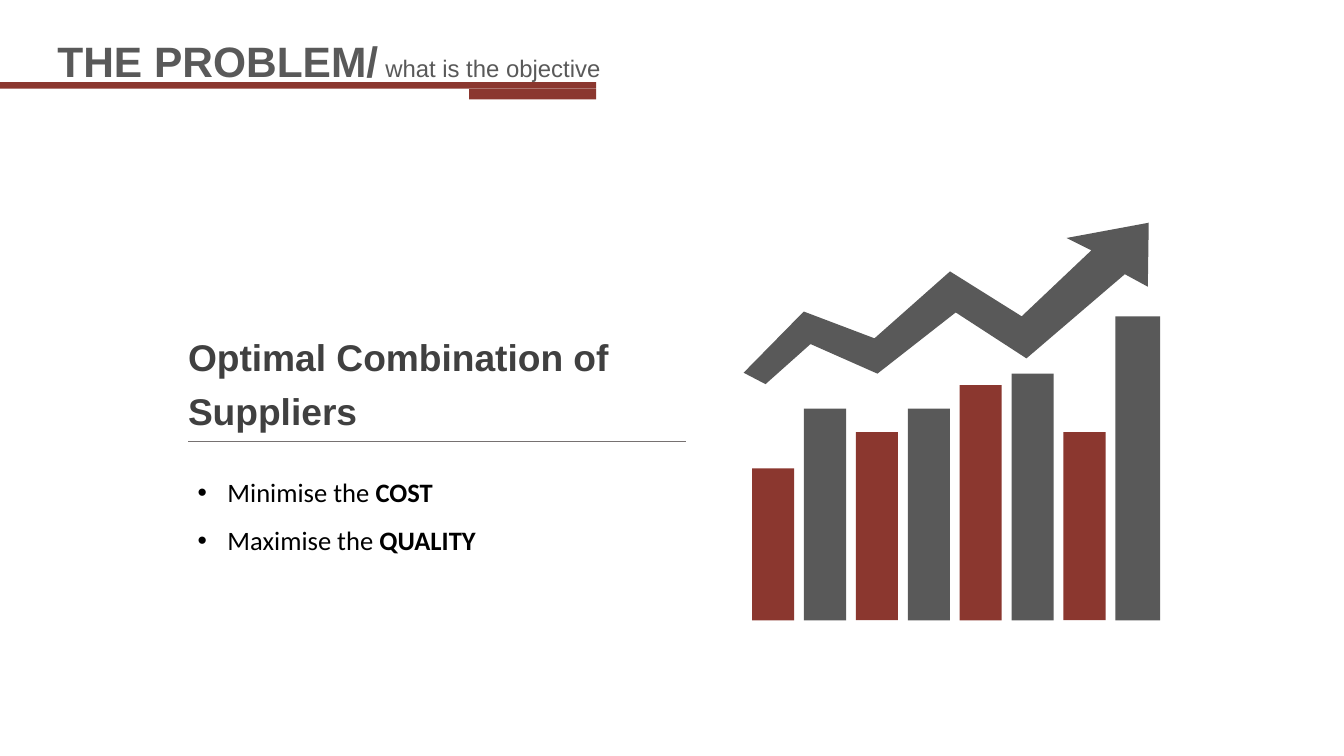
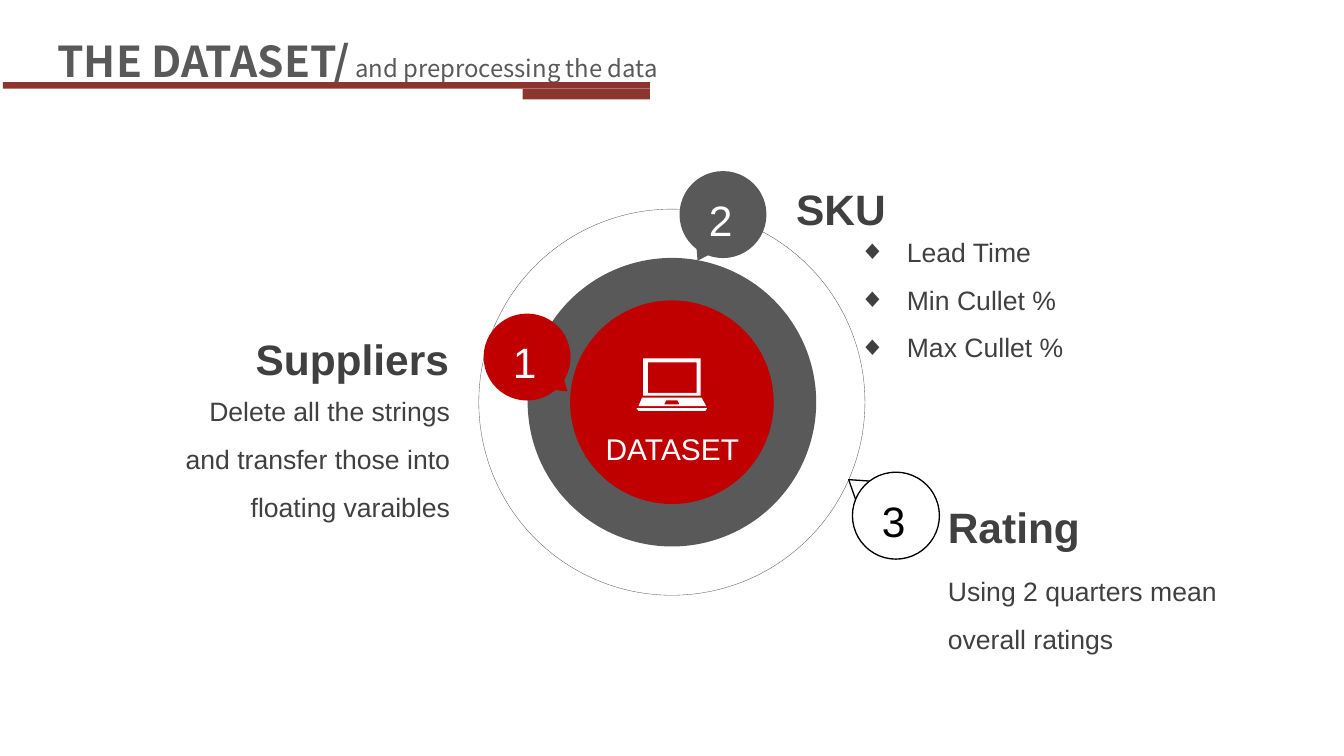
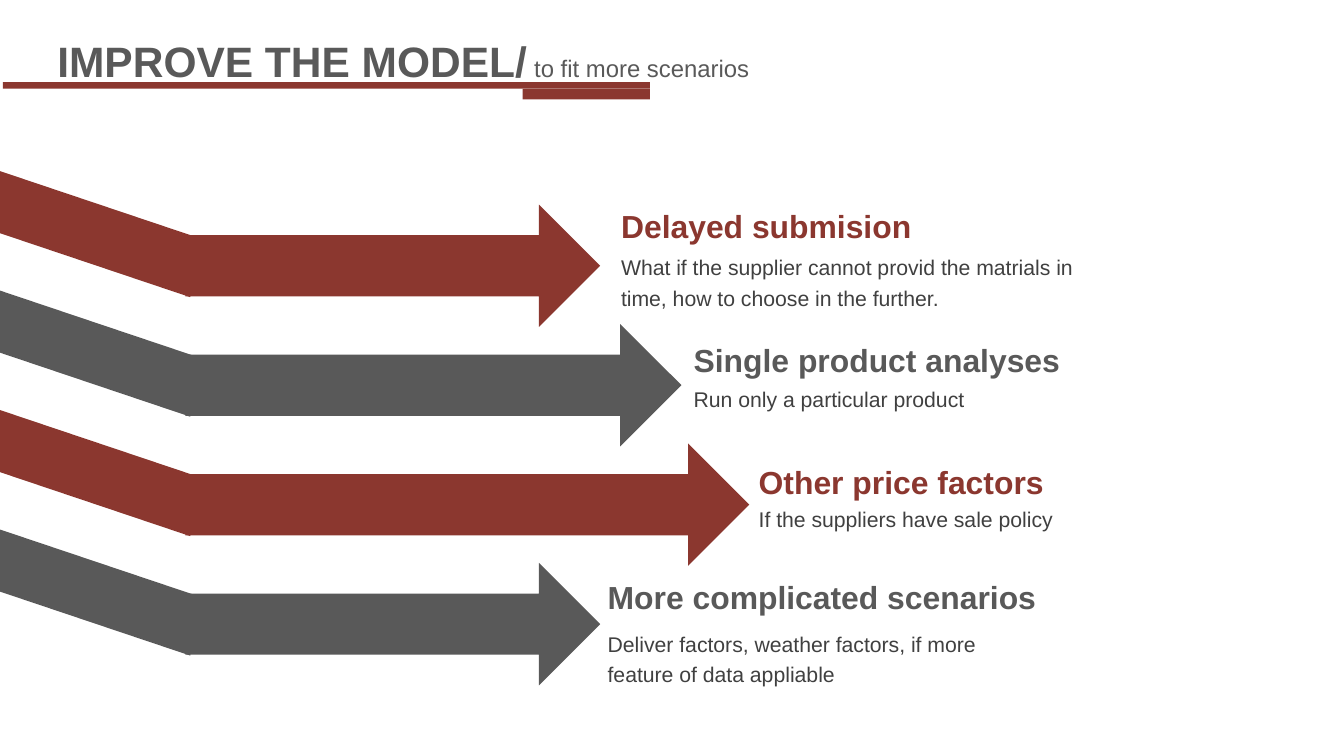
"""Three slides on choosing suppliers: objective, dataset, model improvements."""
from lxml import etree
from pptx import Presentation
from pptx import util as u
from pptx.dml import color
from pptx.enum import shapes, text
from pptx.oxml import ns

COLORS = {
    "red": "8B372F",
    "bright": "C00000",
    "grey": "595959",
    "ink": "404040",
    "rule": "767171",
    "black": "000000",
    "white": "FFFFFF",
}
SHAPE = shapes.MSO_SHAPE
ALIGN = text.PP_ALIGN


def rgb(name):
    """Return the palette colour with this name."""
    return color.RGBColor.from_string(COLORS[name])


def points(*values):
    """Convert numbers in points to lengths."""
    return [u.Pt(value) for value in values]


def assign(target, values):
    """Set every attribute given in a dict."""
    for name, value in values.items():
        setattr(target, name, value)


class Deck:
    """Holds the shared style and the slide being built."""

    font = "Arial"
    bar_width, bar_top, bar_height = 487.4, 61.9, 5
    tab_width, tab_height = 95.8, 8

    def __init__(self, width, height):
        """Start an empty presentation of the given size."""
        self.presentation = Presentation()
        assign(self.presentation, {"slide_width": u.Pt(width), "slide_height": u.Pt(height)})
        self.slide = None

    def start(self, title, subtitle, width, band_left=2.2, font=None):
        """Add a slide with its two-part title and the band below it."""
        self.slide = self.presentation.slides.add_slide(self.presentation.slide_layouts[5])
        placeholder = self.slide.shapes.title
        assign(placeholder, dict(zip(("left", "top", "width", "height"),
                                     points(36, 18, width, 54.7))))
        frame = placeholder.text_frame
        assign(frame, {"word_wrap": True, "auto_size": text.MSO_AUTO_SIZE.NONE,
                       "vertical_anchor": text.MSO_ANCHOR.MIDDLE})
        paragraph = frame.paragraphs[0]
        assign(paragraph, {"alignment": ALIGN.LEFT, "space_before": u.Pt(6.4)})
        self.run(paragraph, title, 32, "grey", True, font)
        self.run(paragraph, " " + subtitle, 18, "grey", False, font)
        self.shape(SHAPE.RECTANGLE,
                   (band_left, self.bar_top, self.bar_width, self.bar_height), "red")
        self.shape(SHAPE.RECTANGLE,
                   (band_left + self.bar_width - self.tab_width,
                    self.bar_top + self.bar_height, self.tab_width, self.tab_height), "red")

    def run(self, paragraph, words, size, ink, bold=False, font=None):
        """Add one formatted run to a paragraph."""
        run = paragraph.add_run()
        run.text = words
        assign(run.font, {"name": font or self.font, "size": u.Pt(size), "bold": bold})
        run.font.color.rgb = rgb(ink)

    def paint(self, shape, fill=None, line=None):
        """Set fill and line; line is a pair of colour and width."""
        shape.shadow.inherit = False
        if fill:
            shape.fill.solid()
            shape.fill.fore_color.rgb = rgb(fill)
        else:
            shape.fill.background()
        if line:
            shape.line.color.rgb = rgb(line[0])
            shape.line.width = u.Pt(line[1])
        else:
            shape.line.fill.background()

    def shape(self, kind, box, fill=None, line=None, rotation=0):
        """Add a preset shape."""
        shape = self.slide.shapes.add_shape(kind, *points(*box))
        shape.rotation = rotation
        self.paint(shape, fill, line)

    def outline(self, contours, fill):
        """Add one filled outline made of closed contours."""
        first, *others = [[points(*corner) for corner in contour] for contour in contours]
        builder = self.slide.shapes.build_freeform(*first[0])
        builder.add_line_segments(first[1:])
        for contour in others:
            builder.move_to(*contour[0])
            builder.add_line_segments(contour[1:])
        self.paint(builder.convert_to_shape(), fill)

    def line(self, ends, ink, width):
        """Add a straight line without shadow."""
        connector = self.slide.shapes.add_connector(shapes.MSO_CONNECTOR.STRAIGHT, *points(*ends))
        connector.line.color.rgb = rgb(ink)
        connector.line.width = u.Pt(width)
        etree.SubElement(connector._element.spPr, ns.qn("a:effectLst"))

    def text(self, box, paragraphs, size, ink="ink", bold=False, align=ALIGN.LEFT,
             spacing=1.2, wrap=True, font=None, bullet=None, indent=0):
        """Add a text box; a paragraph is a plain string or a pair (plain, bold)."""
        frame = self.slide.shapes.add_textbox(*points(*box)).text_frame
        frame.word_wrap = wrap
        for index, content in enumerate(paragraphs):
            paragraph = frame.add_paragraph() if index else frame.paragraphs[0]
            assign(paragraph, {"alignment": align, "line_spacing": spacing})
            if bullet:
                self.bullet(paragraph, bullet, indent)
            plain, strong = (content, "") if isinstance(content, str) else content
            self.run(paragraph, plain, size, ink, bold, font)
            if strong:
                self.run(paragraph, strong, size, ink, True, font)

    def bullet(self, paragraph, mark, indent):
        """Give a paragraph a bullet with a hanging indent."""
        properties = paragraph._p.get_or_add_pPr()
        properties.set("marL", str(u.Pt(indent)))
        properties.set("indent", str(-u.Pt(indent)))
        etree.SubElement(properties, ns.qn("a:buFont")).set("typeface", self.font)
        etree.SubElement(properties, ns.qn("a:buChar")).set("char", mark)

    def disc(self, center, diameter, fill=None, line=None):
        """Add a circle around a centre."""
        left, top = (value - diameter / 2 for value in center)
        self.shape(SHAPE.OVAL, (left, top, diameter, diameter), fill, line)

    def callout(self, number, left, top, tip, rotation, fill, ink="white", line=None):
        """Add a numbered circle with a pointer."""
        self.shape(SHAPE.ISOSCELES_TRIANGLE, (*tip, 18, 13.7),
                   None if line else fill, line, rotation)
        self.shape(SHAPE.FLOWCHART_CONNECTOR, (left, top, 65.5, 65.5), fill, line)
        self.text((left + 15, top + 5.8, 32.4, 49.7), [number], 32, ink, wrap=False)


def build_problem(deck):
    """Objective with a rising bar picture."""
    deck.start("THE PROBLEM/", "what is the objective", 453.6, band_left=-38.2)
    trend = [(560.2, 280.8), (605.5, 234.7), (658.8, 254.9), (715.7, 204.5), (769.7, 238.3),
             (822.2, 188.6), (803.5, 179.3), (865.4, 167.8), (864.7, 216), (847.4, 206.6),
             (773.3, 270), (720, 235.4), (661, 281.5), (610.6, 259.2), (576.7, 289.4)]
    deck.outline([trend], "grey")

    heights = [114.5, 159.5, 141.8, 159.5, 177.1, 185.8, 141.8, 229]
    left, baseline, pitch = 566.6, 467.3, 39.1
    for index, height in enumerate(heights):
        width = 33.8 if index == len(heights) - 1 else 31.7
        deck.shape(SHAPE.RECTANGLE, (left + index * pitch, baseline - height, width, height),
                   "grey" if index % 2 else "red")

    deck.text((134.6, 241.9, 424.8, 85), ["Optimal Combination of Suppliers"], 28, bold=True)
    deck.line((141.8, 332.6, 517, 332.6), "rule", 0.5)
    deck.text((141.8, 343.4, 374.4, 76.3),
              [("Minimise the ", "COST"), ("Maximise the ", "QUALITY")], 20, "black",
              align=ALIGN.JUSTIFY, spacing=1.5, font="Calibri", bullet="•", indent=22.5)


def build_dataset(deck):
    """Dataset circle with three numbered parts."""
    deck.start("THE DATASET/", "and preprocessing the data", 520.6, font="Noto Sans CJK SC")
    center = (506.2, 303)
    deck.disc(center, 217.4, "grey")
    deck.disc(center, 290.9, line=("grey", 0.25))
    deck.disc(center, 153.4, "bright")

    keyboard = [(528.5, 299.5), (483.8, 299.5), (481, 306), (532.1, 306)]
    touchpad = [(500.4, 304.6), (501.8, 301.7), (510.5, 301.7), (511.9, 304.6)]
    lid = [(484.6, 270), (527.8, 270), (527.8, 298.1), (484.6, 298.1)]
    screen = [(488.2, 272.9), (524.9, 272.9), (524.9, 295.9), (488.2, 295.9)]
    base = [(479.5, 307.4), (532.8, 307.4), (531.4, 309.6), (481, 309.6)]
    deck.outline([keyboard, touchpad, lid, screen, base], "white")
    deck.text((448.6, 315.4, 115.9, 36.7), ["DATASET"], 22.5, "white",
              align=ALIGN.CENTER, wrap=False)

    deck.callout("1", 364.3, 236.2, (413.3, 283.7), 130.2, "bright")
    deck.callout("2", 511.9, 128.9, (519.8, 183.6), 208.8, "grey")
    deck.callout("3", 642.2, 355.7, (635.8, 358.6), 307.3, "white", "black", ("black", 1))

    headings = [("Suppliers", 184.3, 228.2, 161.3, ALIGN.RIGHT),
                ("SKU", 592.6, 115.2, 82.8, ALIGN.LEFT),
                ("Rating", 707, 355, 115.2, ALIGN.LEFT)]
    for words, left, top, width, align in headings:
        deck.text((left, top, width, 58.3), [words], 32, bold=True, align=align,
                  spacing=1.5, wrap=False)
    deck.text((118.8, 282.2, 227.5, 111.6),
              ["Delete all the strings and transfer those into floating varaibles"], 20,
              align=ALIGN.RIGHT, spacing=1.5)
    deck.text((640.1, 162, 234, 111.6), ["Lead Time", "Min Cullet %", "Max Cullet %"], 20,
              spacing=1.5, bullet="◆", indent=36)
    deck.text((707, 417.6, 234, 75.6), ["Using 2 quarters mean overall ratings"], 20,
              spacing=1.5)


def build_improvements(deck):
    """Four bent arrows, each leading to an improvement."""
    deck.start("IMPROVE THE MODEL/", "to fit more scenarios", 735)
    # arrow width, text left, heading (text, top, width), body (text, top, width, height)
    improvements = [
        (312.5, 460.8, ("Delayed submision", 146.2, 293),
         ("What if the supplier cannot provid the matrials in time, "
          "how to choose in the further.", 184.3, 357, 51.8)),
        (373.7, 515.5, ("Single product analyses", 247.7, 325.4),
         ("Run only a particular product", 283.7, 302.4, 28.1)),
        (424.8, 564.5, ("Other price factors", 339.1, 253.4),
         ("If the suppliers have sale policy", 373.7, 302.4, 28.1)),
        (312.5, 450.7, ("More complicated scenarios", 426.2, 338.4),
         ("Deliver factors, weather factors, if more feature of data appliable",
          468, 302.4, 51.8)),
    ]
    tail = [(0, 128.9), (151.9, 180), (143.3, 223.9), (0, 175.7)]
    pitch = 90
    for index, (arrow_width, left, heading, body) in enumerate(improvements):
        ink = "grey" if index % 2 else "red"
        drop = index * pitch
        deck.shape(SHAPE.RIGHT_ARROW, (139.7, 154.1 + drop, arrow_width, 92.2), ink)
        deck.outline([[(x, y + drop) for x, y in tail]], ink)
        words, top, width = heading
        deck.text((left, top, width, 38.9), [words], 24, ink, bold=True)
        words, top, width, height = body
        deck.text((left, top, width, height), [words], 16)


deck = Deck(1012.5, 569.5)
for build in (build_problem, build_dataset, build_improvements):
    build(deck)
deck.presentation.save("out.pptx")
